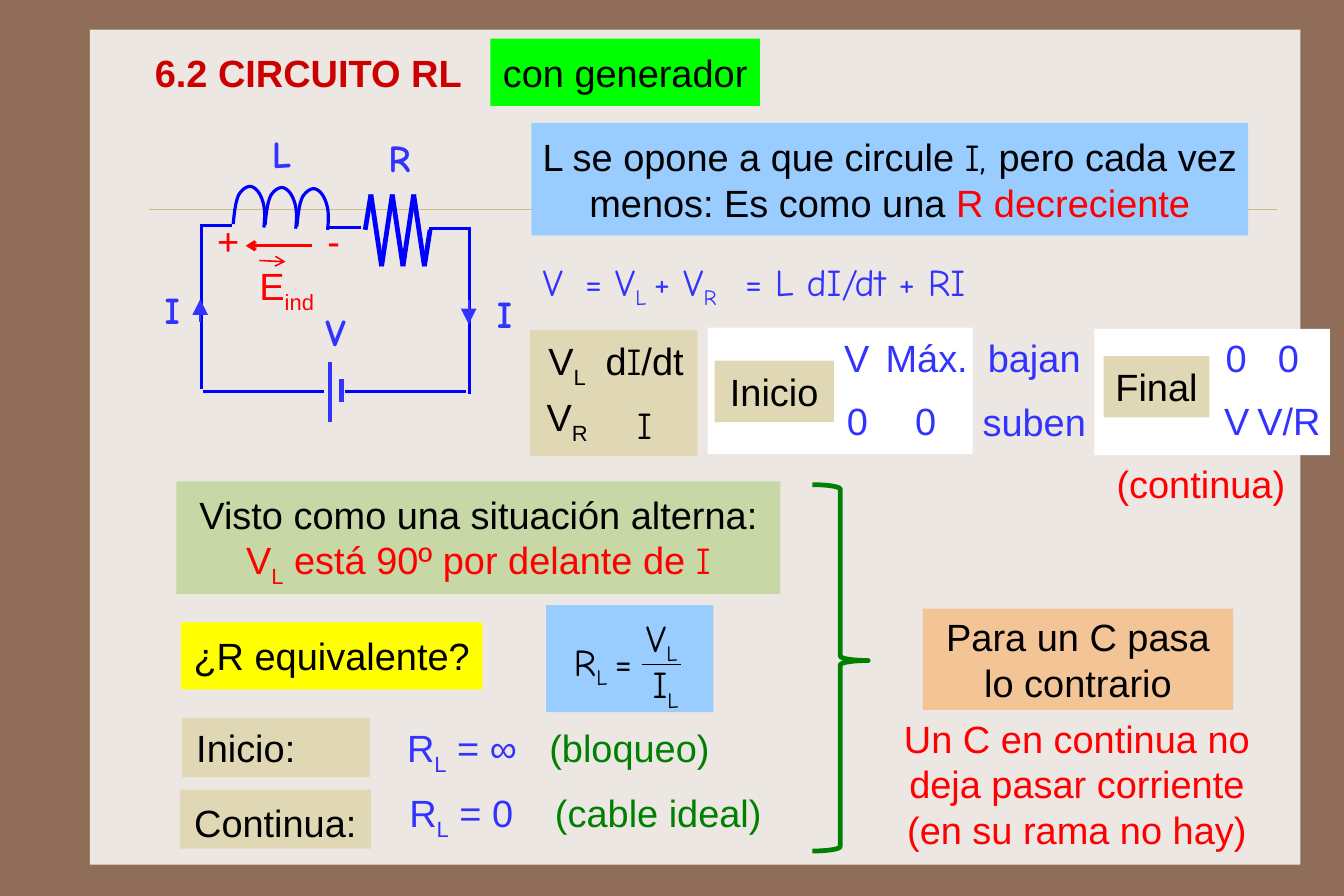
from itertools import pairwise

from lxml.etree import SubElement
from pptx import Presentation
from pptx.dml.color import RGBColor
from pptx.enum.shapes import MSO_CONNECTOR as CONN, MSO_SHAPE as SHAPE
from pptx.enum.text import MSO_ANCHOR as ANCHOR, PP_ALIGN as ALIGN
from pptx.oxml.ns import qn
from pptx.util import Inches, Pt

COLORS = {
    "frame": "906D58", "panel": "EDE7E3", "rule": "CBBD83", "wire": "0000FF",
    "blue": "3333FF", "red": "FF0000", "title": "CC0000", "green": "008000",
    "black": "000000", "white": "FFFFFF", "sand": "E0D7B5", "sky": "99CCFF",
    "yellow": "FFFF00", "lime": "00FF00", "olive": "C7D7A5", "peach": "F3C495",
}
SANS, HAND = "Arial", "Comic Neue"
SUB = {"sub": True}
I_HAND = ("I", {"font": HAND})


def g(n):
    """Length of n grid cells; columns and rows are a tenth of an inch."""
    return Inches(n / 10)


def rgb(name):
    return RGBColor.from_string(COLORS[name])


def write(shape, paragraphs, color="black", font=SANS, bold=False, tab=None,
          anchor=ANCHOR.TOP, inset=(1, 0.9)):
    """Each paragraph is a string or a list of strings and (string, changes)."""
    tf = shape.text_frame
    tf.word_wrap, tf.vertical_anchor = True, anchor
    tf.margin_left = tf.margin_right = g(inset[0])
    tf.margin_top = tf.margin_bottom = g(inset[1])
    for i, runs in enumerate(paragraphs):
        p = tf.add_paragraph() if i else tf.paragraphs[0]
        p.alignment = ALIGN.LEFT if tab else ALIGN.CENTER
        if i:
            p.space_before = Pt(12)
        if tab:
            stops = SubElement(p._p.get_or_add_pPr(), qn("a:tabLst"))
            SubElement(stops, qn("a:tab"), pos=str(g(tab)), algn="l")
        for run in [runs] if isinstance(runs, str) else runs:
            text, changes = (run, {}) if isinstance(run, str) else run
            r = p.add_run()
            r.text = text
            r.font.size, r.font.bold = Pt(24), bold
            r.font.name = changes.get("font", font)
            r.font.color.rgb = rgb(changes.get("color", color))
            if changes.get("sub"):
                r.font._element.set("baseline", "-25000")


def block(s, box, fill, *paragraphs, **style):
    sp = s.shapes.add_shape(SHAPE.RECTANGLE, *map(g, box))
    sp.shadow.inherit = False
    sp.fill.solid()
    sp.fill.fore_color.rgb = rgb(fill)
    sp.line.fill.background()
    if paragraphs:
        write(sp, paragraphs, **style)


def label(s, box, *paragraphs, **style):
    write(s.shapes.add_textbox(*map(g, box)), paragraphs, **style)


def formula(s, box, *runs, **style):
    label(s, box, list(runs), font=HAND, inset=(0.8, 0.4), **style)


def line(s, start, end, color="wire", width=2, head=None, size="med"):
    c = s.shapes.add_connector(CONN.STRAIGHT, *map(g, (*start, *end)))
    SubElement(c._element.spPr, qn("a:effectLst"))
    c.line.color.rgb, c.line.width = rgb(color), Pt(width)
    if head:
        SubElement(c.line._get_or_add_ln(), qn("a:tailEnd"), type=head, w=size, len=size)


def coil_turn(s, left, top):
    knots = [(0, 0), (0.1, -1), (0.2, -2), (0.5, -2.6), (0.8, -3.1), (1.3, -3.4),
             (1.6, -3.3), (2, -3.2), (2.4, -2.7), (2.6, -2), (2.8, -1.4),
             (2.8, -0.6), (2.7, 0.3)]
    points = []
    for k in range(0, 12, 3):
        for t in (n / 8 for n in range(1, 9)):
            weights = ((1 - t) ** 3, 3 * t * (1 - t) ** 2, 3 * t * t * (1 - t), t ** 3)
            x, y = (sum(w * q[axis] for w, q in zip(weights, knots[k:k + 4]))
                    for axis in (0, 1))
            points.append((g(left + x), g(top + y)))
    builder = s.shapes.build_freeform(g(left), g(top))
    builder.add_line_segments(points, close=False)
    sp = builder.convert_to_shape()
    sp.shadow.inherit = False
    sp.fill.background()
    sp.line.color.rgb, sp.line.width = rgb("wire"), Pt(2)


def circuit(s):
    # Wires
    for start, end in [((41.4, 20.1), (37.7, 20.1)), ((28.5, 34.4), (17.8, 34.4)),
                       ((17.7, 19.7), (17.7, 34.2)), ((41.3, 20.1), (41.3, 34.6)),
                       ((41, 34.4), (30.3, 34.4)), ((17.6, 19.8), (20.4, 19.8)),
                       ((28.9, 20), (31.7, 20))]:
        line(s, start, end)
    # Resistor and coil
    zigzag = [(32.6 + 0.94 * i, 23.4 if i % 2 else 17.1) for i in range(6)]
    for start, end in pairwise([(32.1, 20.2), *zigzag, (37.8, 20.2)]):
        line(s, start, end, width=3)
    for i in range(3):
        coil_turn(s, 20.5 + 2.8 * i, 19.7 + 0.1 * i)
    # Battery and current arrows
    line(s, (29, 31.8), (29, 37.1), "blue", 3)
    line(s, (30, 33.3), (30, 35.3), "blue", 3)
    line(s, (17.6, 28.3), (17.6, 26.3), "blue", 1, "triangle", "lg")
    line(s, (41.2, 26.4), (41.2, 28.5), "blue", 1, "triangle", "lg")
    for x, y, w, name in [(13.4, 24.8, 3.5, "I"), (42.6, 25.1, 3.5, "I"),
                          (33.2, 11.4, 3.8, "R"), (23, 11.1, 3.5, "L"),
                          (27.5, 26.7, 4, "V")]:
        formula(s, (x, y, w, 4.9), name, color="blue", bold=True)
    # Induced field
    label(s, (18.1, 18.6, 12.8, 5), "+\t-", color="red", tab=9.7, inset=(1, 0.5))
    line(s, (27.4, 21.6), (21.6, 21.6), "red", 2, "arrow")
    label(s, (21.6, 22.6, 7.2, 5), ["E", ("ind", SUB)], color="red", inset=(1, 0.5))
    line(s, (22.8, 22.9), (25.1, 23), "red", 1, "arrow")


def voltage_states(s):
    # Quantities
    block(s, (46.6, 29, 6, 11.1), "sand")
    block(s, (52.5, 29, 8.8, 11.1), "sand")
    label(s, (45.1, 28.8, 9.5, 5.9), ["V", ("L", SUB)])
    label(s, (45.1, 33.7, 9.5, 5.9), ["V", ("R", SUB)])
    label(s, (51.9, 28.8, 9.5, 5.9), ["d", I_HAND, "/dt"])
    label(s, (51.9, 34.4, 9.5, 5.9), [I_HAND])
    # Start and end values
    block(s, (62.2, 28.8, 23.3, 11.1), "white")
    block(s, (96.2, 28.9, 20.7, 11.1), "white")
    block(s, (62.8, 31.7, 10.5, 5.4), "sand", "Inicio", anchor=ANCHOR.MIDDLE)
    block(s, (97, 31.3, 9.3, 5.4), "sand", "Final", anchor=ANCHOR.MIDDLE)
    for y, row in [(28.5, [(73.2, 4.2, "V"), (76.8, 9.3, "Máx."),
                           (106.7, 3.9, "0"), (111.3, 3.9, "0")]),
                   (34, [(73.4, 3.9, "0"), (79.4, 3.9, "0"),
                         (106.6, 4.2, "V"), (109.5, 7.6, "V/R")])]:
        for x, w, value in row:
            label(s, (x, y, w, 5.9), value, color="blue")
    label(s, (85.3, 28.5, 11.2, 11.9), "bajan", "suben", color="blue")
    label(s, (94.5, 39.5, 22.1, 5.9), "(continua)", color="red", anchor=ANCHOR.MIDDLE)


def equivalent_resistance(s):
    block(s, (15.9, 54.7, 26.5, 5.9), "yellow", "¿R equivalente?")
    # Fraction
    block(s, (48, 53.2, 14.7, 9.4), "sky")
    formula(s, (48.8, 55.7, 8.4, 4.2), "R", ("L ", SUB), "=")
    formula(s, (55.6, 53.6, 5.1, 4.2), "V", ("L", SUB))
    formula(s, (56, 57.7, 5, 4.2), "I", ("L", SUB))
    line(s, (56.4, 58.4), (59.9, 58.4), "black", 1)
    # Limit cases
    block(s, (16, 63.1, 16.5, 5.2), "sand")
    label(s, (16.2, 62.8, 10.8, 5.9), "Inicio:")
    block(s, (15.8, 69.4, 16.8, 5.2), "sand")
    label(s, (15.9, 69.7, 16.6, 5.1), "Continua:", anchor=ANCHOR.MIDDLE)
    for x, y, tab, value, meaning in [(34.8, 62.8, 12.5, " = ∞", "(bloqueo)"),
                                      (35, 68.5, 12.8, " = 0", "(cable ideal)")]:
        label(s, (x, y, 34, 5.9),
              ["R", ("L", SUB), value + "\t", (meaning, {"color": "green"})],
              color="blue", tab=tab)


def main():
    prs = Presentation()
    prs.slide_width, prs.slide_height = Pt(850.5), Pt(567)
    s = prs.slides.add_slide(prs.slide_layouts[6])
    s.background.fill.solid()
    s.background.fill.fore_color.rgb = rgb("frame")
    block(s, (7.9, 2.6, 106.4, 73.4), "panel")
    line(s, (13.1, 18.4), (112.2, 18.4), "rule", 0.25)

    # Heading
    label(s, (12.5, 3.8, 29.2, 5.1), "6.2 CIRCUITO RL", color="title", bold=True,
          anchor=ANCHOR.MIDDLE, inset=(1.1, 0.5))
    block(s, (43.1, 3.4, 23.7, 5.9), "lime", "con generador", anchor=ANCHOR.MIDDLE)

    circuit(s)

    # Behaviour of the coil
    block(s, (46.7, 10.8, 63, 9.9), "sky",
          ["L se opone a que circule ", ("I, ", {"font": HAND}),
           "pero cada vez menos: Es como una ", ("R decreciente", {"color": "red"})],
          anchor=ANCHOR.MIDDLE)
    formula(s, (46.9, 22.3, 18.6, 4.9), "V\t= V", ("L ", SUB), "+ V", ("R", SUB),
            color="blue", tab=3.7)
    formula(s, (63.9, 22.3, 22.5, 4.9), "= L dI/dt + RI", color="blue")

    voltage_states(s)
    block(s, (15.5, 42.3, 53.1, 9.9), "olive",
          [("Visto como una situación alterna: ", {"color": "black"}), "V", ("L", SUB),
           " está 90º por delante de ", I_HAND], color="red")
    equivalent_resistance(s)

    # Comparison with a capacitor
    brace = s.shapes.add_shape(SHAPE.RIGHT_BRACE, *map(g, (71.4, 42.6, 4.9, 32.2)))
    brace.shadow.inherit = False
    brace.adjustments[0], brace.adjustments[1] = 0.08, 0.48
    brace.fill.background()
    brace.line.color.rgb, brace.line.width = rgb("green"), Pt(3)
    block(s, (81.1, 53.5, 27.3, 8.9), "peach", "Para un C pasa lo contrario",
          anchor=ANCHOR.MIDDLE, inset=(1, 0.4))
    label(s, (77.3, 61.9, 34.7, 13.9),
          "Un C en continua no deja pasar corriente (en su rama no hay)",
          color="red", anchor=ANCHOR.MIDDLE)
    prs.save("out.pptx")


if __name__ == "__main__":
    main()
